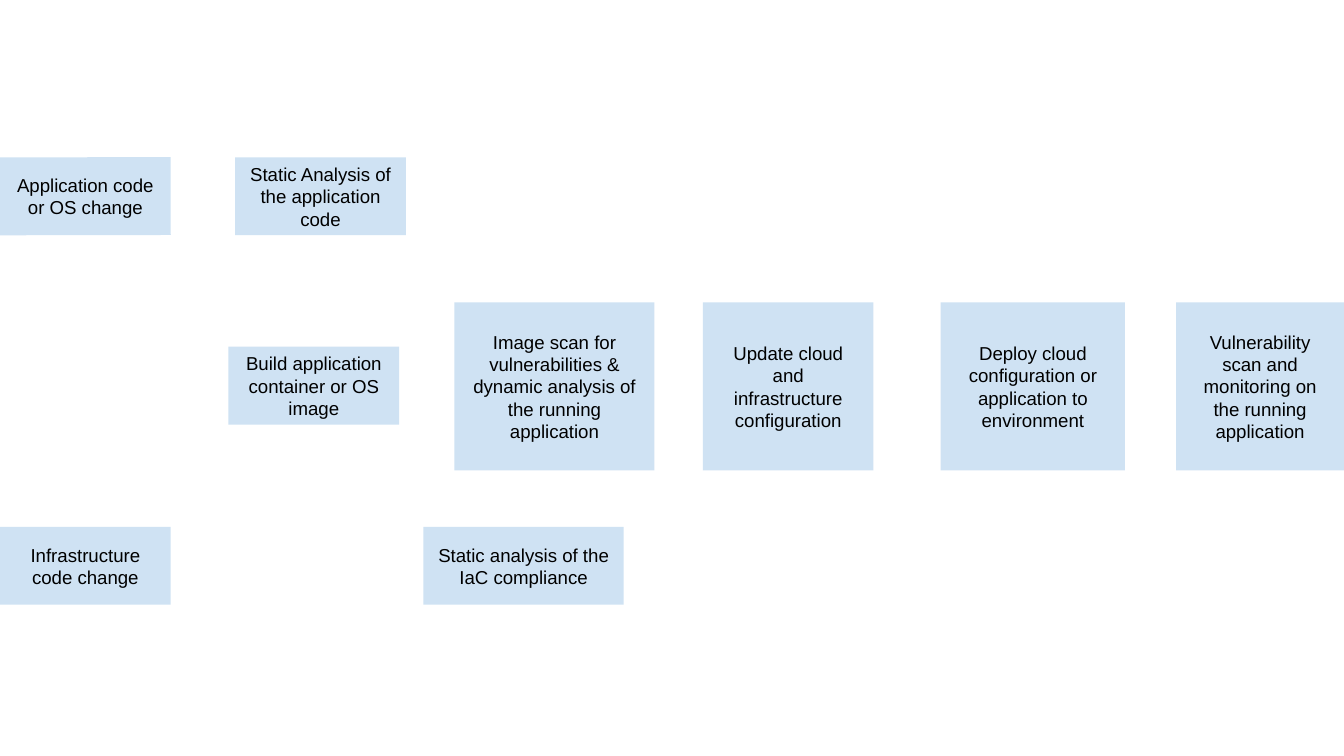
from dataclasses import dataclass

import pptx
import pptx.dml.color
import pptx.enum.shapes
import pptx.enum.text
import pptx.util

Inches = pptx.util.Inches
COLORS = {"background": "FFFFFF", "step": "CFE2F3", "text": "000000"}
SLIDE_WIDTH = 10
SLIDE_HEIGHT = SLIDE_WIDTH * 9 / 16
SHORT, TALL = 0.58, 1.25
CODE_TOP, BUILD_TOP, PIPELINE_TOP, INFRASTRUCTURE_TOP = 1.17, 2.58, 2.25, 3.92


@dataclass(frozen=True)
class Step:
    text: str
    left: float
    top: float
    width: float = 1.27
    height: float = SHORT
    rotation: float = 0


STEPS = [
    Step("Build application container or OS image", 1.7, BUILD_TOP),
    Step("Deploy cloud configuration or application to environment", 7, PIPELINE_TOP, 1.37, TALL),
    Step("Update cloud and infrastructure configuration", 5.23, PIPELINE_TOP, height=TALL),
    Step("Application code or OS change", 0, CODE_TOP, rotation=359.9),
    Step("Infrastructure code change", 0, INFRASTRUCTURE_TOP),
    Step("Static Analysis of the application code", 1.75, CODE_TOP),
    Step("Image scan for vulnerabilities & dynamic analysis of the running application",
         3.38, PIPELINE_TOP, 1.49, TALL),
    Step("Static analysis of the IaC compliance", 3.15, INFRASTRUCTURE_TOP, 1.49),
    Step("Vulnerability scan and monitoring on the running application",
         8.75, PIPELINE_TOP, 1.25, TALL),
]


def color(name: str) -> pptx.dml.color.RGBColor:
    return pptx.dml.color.RGBColor.from_string(COLORS[name])


def write_text(frame, text: str, *, size: float = 10, font: str = "Arial",
               color_name: str = "text", margin: float = 0.1) -> None:
    frame.word_wrap = True
    frame.vertical_anchor = pptx.enum.text.MSO_ANCHOR.MIDDLE
    frame.margin_left = frame.margin_right = Inches(margin)
    frame.margin_top = frame.margin_bottom = Inches(margin)
    paragraph = frame.paragraphs[0]
    paragraph.alignment = pptx.enum.text.PP_ALIGN.CENTER
    run = paragraph.add_run()
    run.text = text
    run.font.size = pptx.util.Pt(size)
    run.font.name = font
    run.font.color.rgb = color(color_name)


def draw_step(slide, step: Step) -> None:
    shape = slide.shapes.add_shape(
        pptx.enum.shapes.MSO_SHAPE.RECTANGLE,
        Inches(step.left), Inches(step.top), Inches(step.width), Inches(step.height))
    shape.rotation = step.rotation
    shape.shadow.inherit = False
    shape.fill.solid()
    shape.fill.fore_color.rgb = color("step")
    shape.line.fill.background()
    write_text(shape.text_frame, step.text)


def main() -> None:
    presentation = pptx.Presentation()
    presentation.slide_width = Inches(SLIDE_WIDTH)
    presentation.slide_height = Inches(SLIDE_HEIGHT)
    slide = presentation.slides.add_slide(presentation.slide_layouts[6])
    slide.background.fill.solid()
    slide.background.fill.fore_color.rgb = color("background")
    for step in STEPS:
        draw_step(slide, step)
    presentation.save("out.pptx")


main()
